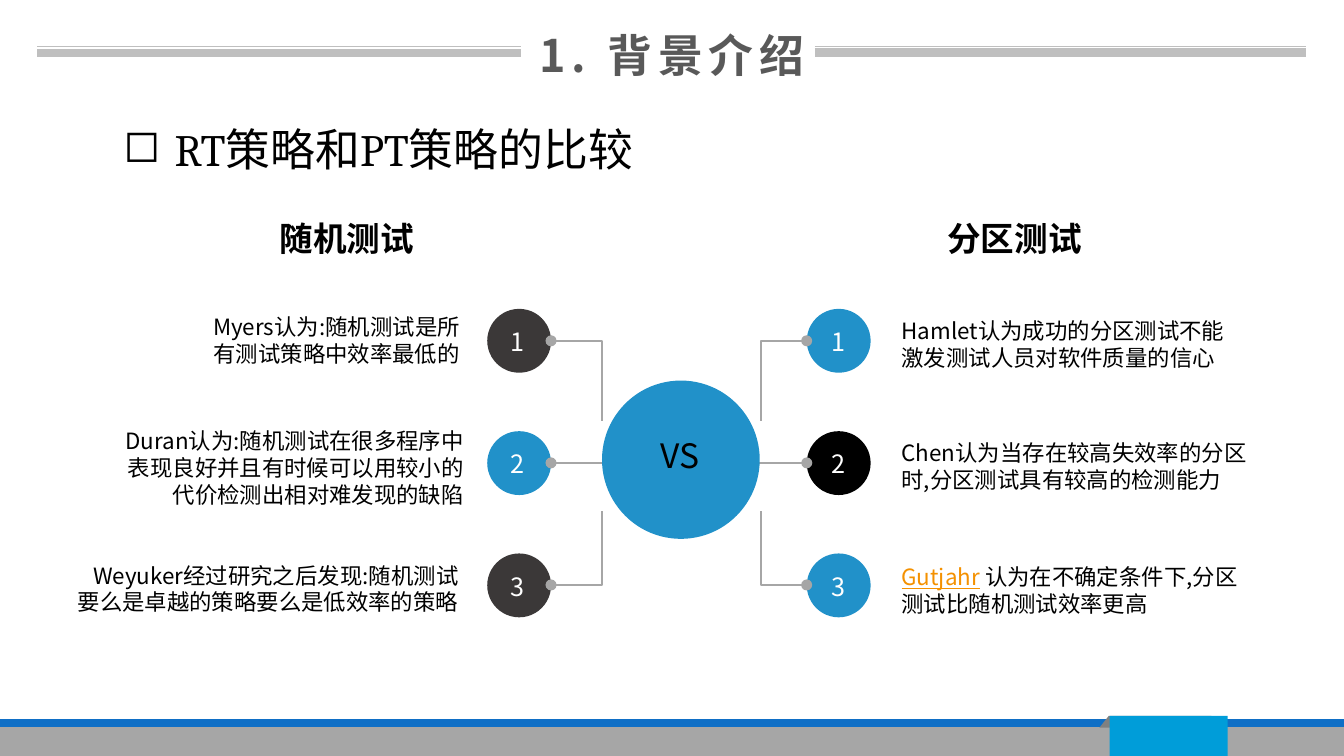
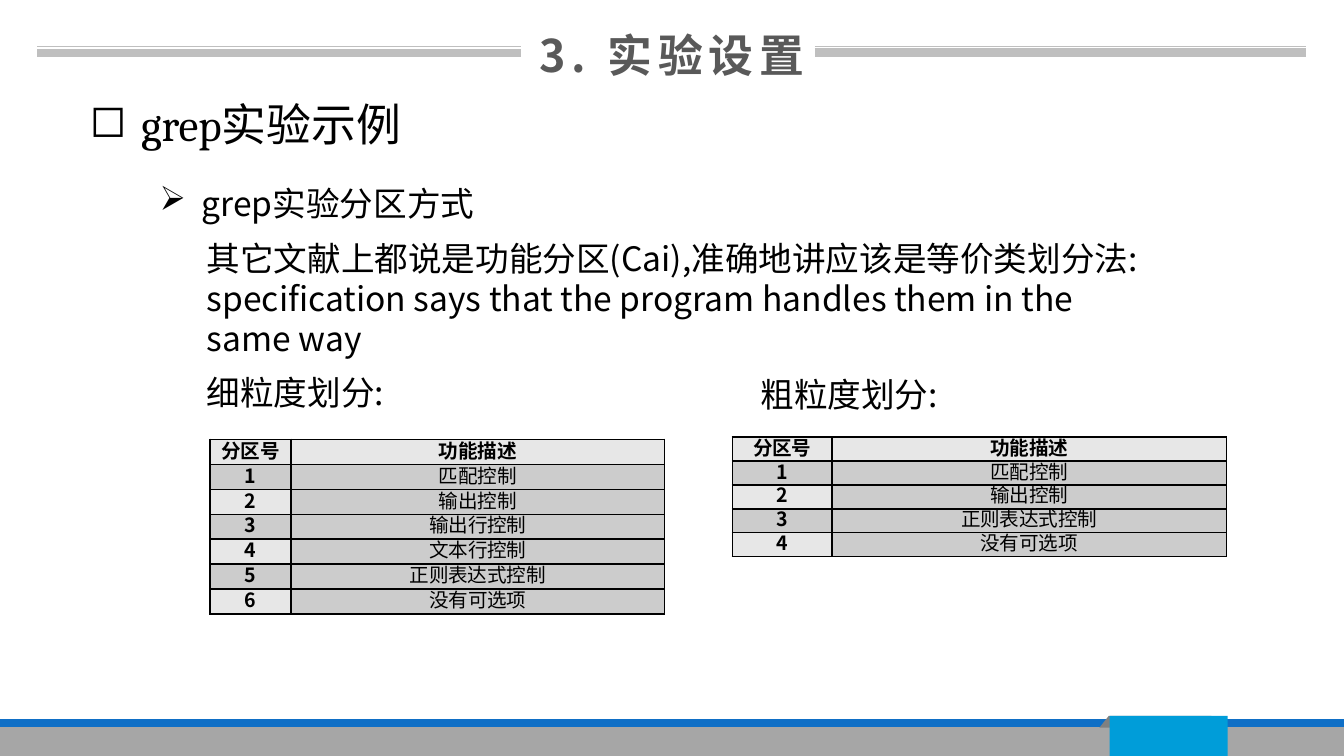
from lxml import etree
from pptx import Presentation
from pptx import util as u
from pptx.dml.color import RGBColor
from pptx.enum import shapes, text
from pptx.oxml import ns

Pt = u.Pt
BLUE = RGBColor(0x0F, 0x6F, 0xC6)
CYAN = RGBColor(0x00, 0x9D, 0xD9)
CIRCLE_BLUE = RGBColor(0x21, 0x91, 0xC9)
CHARCOAL = RGBColor(0x3B, 0x38, 0x38)
BLACK = RGBColor(0, 0, 0)
WHITE = RGBColor(0xFF, 0xFF, 0xFF)
ORANGE = RGBColor(0xF4, 0x91, 0x00)
TITLE_GRAY = RGBColor(0x59, 0x59, 0x59)
FOLD_GRAY = RGBColor(0x80, 0x80, 0x80)
BAND_GRAY = RGBColor(0xA6, 0xA6, 0xA6)
RULE_GRAY = RGBColor(0xBF, 0xBF, 0xBF)
CELL_LIGHT = RGBColor(0xE7, 0xE7, 0xE7)
CELL_DARK = RGBColor(0xCC, 0xCC, 0xCC)
SANS, SERIF = "Noto Sans CJK SC", "Cambria"
ALIGN = text.PP_ALIGN
LINE_HEIGHT = 1.2


def write(frame, runs, align=ALIGN.LEFT, color=BLACK, bullet=None, indent=0, spacing=0, **style):
    """Fill the first paragraph of a text frame; runs is a list of (text, colour, underline)."""
    style = {"size": Pt(12), "name": SANS, "bold": False, **style}
    if isinstance(runs, str):
        runs = [(runs, color, False)]
    paragraph = frame.paragraphs[0]
    paragraph.alignment = align
    paragraph.line_spacing = Pt(round(style["size"].pt * LINE_HEIGHT, 1))
    if bullet:
        properties = paragraph._p.get_or_add_pPr()
        properties.set("marL", str(Pt(indent)))
        properties.set("indent", str(-Pt(indent)))
        etree.SubElement(properties, ns.qn("a:buChar")).set("char", bullet)
    for words, run_color, underline in runs:
        run = paragraph.add_run()
        run.text = words
        for key, value in {**style, "underline": underline}.items():
            setattr(run.font, key, value)
        run.font.color.rgb = run_color
        run_properties = run._r.get_or_add_rPr()
        etree.SubElement(run_properties, ns.qn("a:ea")).set("typeface", SANS)
        if spacing:
            run_properties.set("spc", str(spacing * 100))


def add_text(slide, box, runs, wrap=True, **style):
    frame = slide.shapes.add_textbox(*map(Pt, box)).text_frame
    frame.word_wrap = wrap
    frame.auto_size = text.MSO_AUTO_SIZE.SHAPE_TO_FIT_TEXT
    write(frame, runs, **style)


presentation = Presentation()
presentation.slide_width, presentation.slide_height = Pt(720), Pt(405)
blank = presentation.slide_layouts[6]
slides = [presentation.slides.add_slide(blank) for _ in range(2)]
comparison, experiment = slides
RECTANGLE, OVAL = shapes.MSO_SHAPE.RECTANGLE, shapes.MSO_SHAPE.OVAL

# Filled shapes and lines, gathered per slide and drawn in the loops below
footer_bands = [((0, 385.2, 720, 19.8), BLUE), ((0, 389.5, 720, 15.5), BAND_GRAY)]
footer_tab = ((594.5, 383.5, 63.2, 21.5), CYAN)
title_rules = [(436.5, 699.8, 24.8, 0.5), (20, 279.2, 25, 0.5),
               (436.5, 699.8, 28.2, 4.5), (20, 279.2, 28.5, 4.5)]

# Shared footer, title rules and title
for slide, title in zip(slides, ["1. 背景介绍", "3. 实验设置"]):
    fold = slide.shapes.build_freeform(Pt(594), Pt(383.5), scale=1.0)
    fold.add_line_segments([(Pt(x), Pt(y)) for x, y in
                            [(649, 383.5), (649.4, 390), (589, 389.8)]], close=True)
    blocks = [(slide.shapes.add_shape(RECTANGLE, *map(Pt, box)), color)
              for box, color in footer_bands]
    blocks.append((fold.convert_to_shape(), FOLD_GRAY))
    blocks.append((slide.shapes.add_shape(RECTANGLE, *map(Pt, footer_tab[0])), footer_tab[1]))
    for shape, color in blocks:
        shape.shadow.inherit = False
        shape.fill.solid()
        shape.fill.fore_color.rgb = color
        shape.line.fill.background()
    for left, right, y, width in title_rules:
        rule = slide.shapes.add_connector(shapes.MSO_CONNECTOR.STRAIGHT,
                                          Pt(left), Pt(y), Pt(right), Pt(y))
        rule.line.color.rgb = RULE_GRAY
        rule.line.width = Pt(width)
        etree.SubElement(rule.element.spPr, ns.qn("a:effectLst"))
    add_text(slide, (277.2, 11.5, 165.6, 36), title, align=ALIGN.CENTER, color=TITLE_GRAY,
             size=Pt(24), bold=True, spacing=3)

# Slide 1: heading
add_text(comparison, (59, 61.9, 312.5, 36), "RT策略和PT策略的比较", bullet="◻", indent=27.5,
         size=Pt(24), name=SERIF)

# Connectors from the numbered circles to the hub
LEFT_EDGE, RIGHT_EDGE, HUB_LEFT, HUB_RIGHT = 295.2, 432.2, 322.6, 407.6
STRAIGHT, ELBOW = shapes.MSO_CONNECTOR.STRAIGHT, shapes.MSO_CONNECTOR.ELBOW
links = [(STRAIGHT, LEFT_EDGE, 248, RIGHT_EDGE, 248)]
for edge, hub_side in [(LEFT_EDGE, HUB_LEFT), (RIGHT_EDGE, HUB_RIGHT)]:
    links += [(ELBOW, edge, 182.6, hub_side, 225.4), (ELBOW, edge, 313.4, hub_side, 273.8)]

# Numbered circles and the hub; the hub covers the straight link
CIRCLE_SIZE, FIRST_TOP, STEP = 34.2, 165.5, 65.5
circle_columns = [(261, [CHARCOAL, CIRCLE_BLUE, CHARCOAL]),
                  (432.2, [CIRCLE_BLUE, BLACK, CIRCLE_BLUE])]
circles = [((left, FIRST_TOP + row * STEP, CIRCLE_SIZE, CIRCLE_SIZE), color)
           for left, colors in circle_columns for row, color in enumerate(colors)]
circles.append(((322.5, 203.9, 84.5, 84.8), CIRCLE_BLUE))
for number, (box, color) in enumerate(circles):
    if number == len(circles) - 1:
        for kind, *ends in links:
            connector = comparison.shapes.add_connector(kind, *map(Pt, ends))
            connector.line.color.rgb = BAND_GRAY
            connector.line.width = Pt(1)
            properties = connector.element.spPr
            line = properties.find(ns.qn("a:ln"))
            etree.SubElement(line, ns.qn("a:headEnd")).set("type", "oval")
            if kind == STRAIGHT:
                etree.SubElement(line, ns.qn("a:tailEnd")).set("type", "oval")
            else:
                properties.find(ns.qn("a:prstGeom")).set("prst", "bentConnector2")
            etree.SubElement(properties, ns.qn("a:effectLst"))
    circle = comparison.shapes.add_shape(OVAL, *map(Pt, box))
    circle.shadow.inherit = False
    circle.fill.solid()
    circle.fill.fore_color.rgb = color
    circle.line.fill.background()

for left in (266.6, 438.2):
    for row in range(3):
        add_text(comparison, (left, 171.4 + row * STEP, 21.6, 23.8), str(row + 1), wrap=False,
                 align=ALIGN.CENTER, color=WHITE, size=Pt(13.5))

# Opinions on each side
opinions = [
    ((103, 164.2, 150.5, 36), ALIGN.RIGHT, "Myers认为:随机测试是所有测试策略中效率最低的"),
    ((57.6, 225.4, 198, 51), ALIGN.RIGHT,
     "Duran认为:随机测试在很多程序中表现良好并且有时候可以用较小的代价检测出相对难发现的缺陷"),
    ((33.1, 297.4, 219.6, 36), ALIGN.RIGHT,
     "Weyuker经过研究之后发现:随机测试要么是卓越的策略要么是低效率的策略"),
    ((475.9, 166.3, 195.8, 36), ALIGN.LEFT, "Hamlet认为成功的分区测试不能激发测试人员对软件质量的信心"),
    ((475.9, 231.8, 200.2, 36), ALIGN.LEFT,
     "Chen认为当存在较高失效率的分区时,分区测试具有较高的检测能力"),
    ((475.9, 298.1, 195.8, 36), ALIGN.LEFT,
     [("Gutjahr", ORANGE, True), (" 认为在不确定条件下,分区测试比随机测试效率更高", BLACK, False)]),
]
for box, align, opinion in opinions:
    add_text(comparison, box, opinion, align=align)

# Column headings and hub label
for left, heading in [(142.6, "随机测试"), (500.4, "分区测试")]:
    add_text(comparison, (left, 113, 101.5, 28.8), heading, size=Pt(18), bold=True)
add_text(comparison, (347, 229.7, 54.7, 28.8), "VS", size=Pt(18))

# Slide 2: headings and explanation
add_text(experiment, (41, 48.2, 199.4, 36), "grep实验示例", bullet="◻", indent=27.5,
         size=Pt(24), name=SERIF)
add_text(experiment, (78.5, 94.3, 273.6, 28.8), "grep实验分区方式", bullet="➢", indent=22.5,
         size=Pt(18))
for box, words in [
    ((103.7, 123.8, 512, 72.7), "其它文献上都说是功能分区(Cai),准确地讲应该是等价类划分法:"
     "specification says that the program handles them in the same way"),
    ((103.7, 195.8, 190.8, 29.5), "细粒度划分:"),
    ((400.3, 196.6, 190.8, 29.5), "粗粒度划分:"),
]:
    add_text(experiment, box, words, size=Pt(18))

# Partition tables: position, column widths, row height, descriptions
partitions = [
    ((112.5, 235.4), (43.4, 200.2), 13.4,
     ["匹配控制", "输出控制", "输出行控制", "文本行控制", "正则表达式控制", "没有可选项"]),
    ((392.4, 234.2), (53.4, 211.2), 12.8,
     ["匹配控制", "输出控制", "正则表达式控制", "没有可选项"]),
]
for (left, top), widths, row_height, descriptions in partitions:
    rows = [("分区号", "功能描述")] + [(str(n), d) for n, d in enumerate(descriptions, 1)]
    table = experiment.shapes.add_table(len(rows), 2, Pt(left), Pt(top), Pt(sum(widths)),
                                        Pt(row_height * len(rows))).table
    table.first_row = table.horz_banding = False
    for column, width in zip(table.columns, widths):
        column.width = Pt(width)
    for row_index, row in enumerate(rows):
        table.rows[row_index].height = Pt(row_height)
        for column_index, words in enumerate(row):
            cell = table.cell(row_index, column_index)
            for key, value in {"margin_left": Pt(5), "margin_right": Pt(5), "margin_top": 0,
                               "margin_bottom": 0,
                               "vertical_anchor": text.MSO_ANCHOR.MIDDLE}.items():
                setattr(cell, key, value)
            is_label = row_index == 0 or column_index == 0
            write(cell.text_frame, words, align=ALIGN.CENTER, size=Pt(10.5), bold=is_label)
            for side in ("lnL", "lnR", "lnT", "lnB"):
                border = etree.SubElement(cell._tc.get_or_add_tcPr(), ns.qn("a:" + side))
                border.set("w", str(Pt(1)))
                fill = etree.SubElement(border, ns.qn("a:solidFill"))
                etree.SubElement(fill, ns.qn("a:srgbClr")).set("val", str(BLACK))
            cell.fill.solid()
            light = is_label and row_index % 2 == 0
            cell.fill.fore_color.rgb = CELL_LIGHT if light else CELL_DARK

presentation.save("out.pptx")
